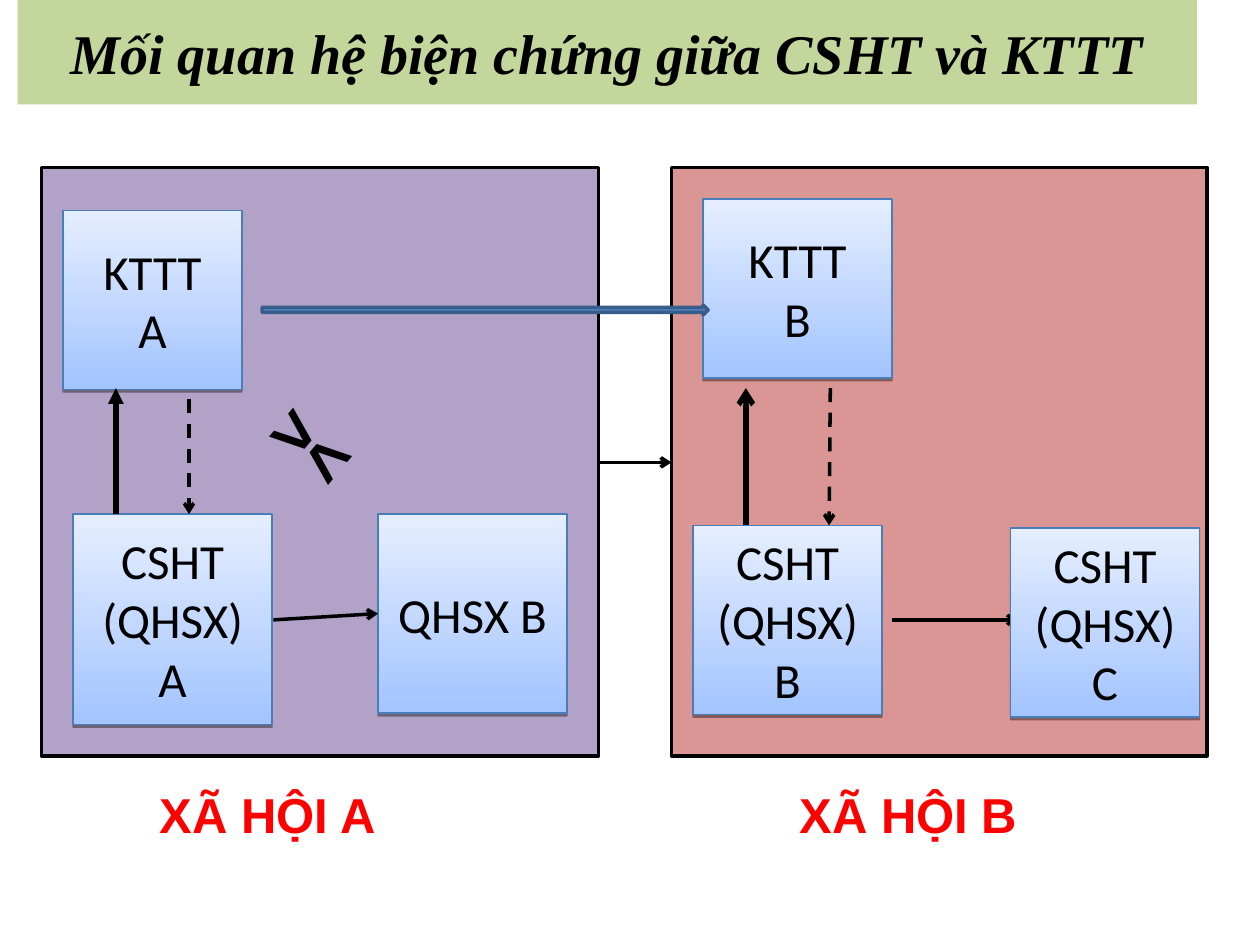
from lxml import etree
from pptx import Presentation
from pptx.dml.color import RGBColor
from pptx.enum import dml, shapes, text
from pptx.oxml.ns import qn
from pptx.util import Inches, Pt

COLORS = {
    "black": "000000", "red": "FF0000", "title": "C3D69B",
    "society_a": "B3A2C7", "society_b": "D99694",
    "box_bottom": "A3C4FF", "box_top": "E5EEFF", "box_line": "4A7EBB",
    "arrow": "4F81BD", "arrow_line": "385D8A",
}
TITLE = "Mối quan hệ biện chứng giữa CSHT và KTTT"

# Positions are left, top, width, height in inches
PANELS = [
    ((0.33, 1.33, 4.42, 4.67), "society_a"),
    ((5.33, 1.33, 4.25, 4.67), "society_b"),
]
BOXES = [
    ("KTTT\nA", (0.5, 1.67, 1.42, 1.42)),
    ("QHSX B", (3, 4.08, 1.5, 1.58)),
    ("CSHT\n(QHSX)\nA", (0.58, 4.08, 1.58, 1.67)),
    ("CSHT\n(QHSX)\nB", (5.5, 4.17, 1.5, 1.5)),
    ("KTTT\nB", (5.58, 1.58, 1.5, 1.42)),
]
NEXT_BASE_BOX = ("CSHT\n(QHSX)\nC", (8.02, 4.19, 1.5, 1.5))
# Start, end, width in points, arrowhead, dashed
LINKS = [
    ((4.75, 3.67), (5.33, 3.67), 2, "arrow", False),
    ((2.17, 4.92), (3, 4.87), 2, "arrow", False),
    ((1.5, 3.17), (1.5, 4.08), 2, "arrow", True),
    ((0.92, 4.08), (0.92, 3.08), 3, "triangle", False),
    ((5.92, 4.17), (5.92, 3.08), 3, "arrow", False),
    ((6.59, 3.08), (6.58, 4.17), 2, "arrow", True),
    ((7.08, 4.92), (8.08, 4.92), 2, "arrow", False),
]
# Text, position, size, colour, rotation
LABELS = [
    ("XÃ HỘI A", (1.17, 6.18, 2.58, 0.57), 28, "red", 0),
    ("XÃ HỘI B", (6.25, 6.18, 2.58, 0.57), 28, "red", 0),
    ("><", (2.05, 3.18, 1, 0.77), 40, "black", 39.8),
]


def color(name):
    return RGBColor.from_string(COLORS[name])


def inches(values):
    return [Inches(value) for value in values]


def write(shape, content, font_name, size, ink="black", bold=None, italic=None,
          align=text.PP_ALIGN.CENTER):
    frame = shape.text_frame
    frame.word_wrap = True
    frame.text = content
    for paragraph in frame.paragraphs:
        paragraph.alignment = align
        for run in paragraph.runs:
            font = run.font
            font.name, font.size = font_name, Pt(size)
            font.bold, font.italic = bold, italic
            font.color.rgb = color(ink)
    return frame


def add_block(slide, place, fill=None, line=None, width=2,
              kind=shapes.MSO_SHAPE.RECTANGLE):
    shape = slide.shapes.add_shape(kind, *inches(place))
    shape.shadow.inherit = False
    if fill:
        shape.fill.solid()
        shape.fill.fore_color.rgb = color(fill)
    if line:
        shape.line.color.rgb = color(line)
        shape.line.width = Pt(width)
    else:
        shape.line.fill.background()
    return shape


def add_box(slide, content, place):
    shape = add_block(slide, place, line="box_line", width=0.75)
    shape.fill.gradient()
    shape.fill.gradient_angle = 90
    for stop, name, position in zip(shape.fill.gradient_stops,
                                    ("box_bottom", "box_top"), (0, 1)):
        stop.color.rgb = color(name)
        stop.position = position
    effects = shape.element.spPr.find(qn("a:effectLst"))
    shadow = etree.SubElement(effects, qn("a:outerShdw"), blurRad="0",
                              dist=str(Pt(1.6)), dir="5400000", rotWithShape="0")
    ink = etree.SubElement(shadow, qn("a:srgbClr"), val=COLORS["black"])
    etree.SubElement(ink, qn("a:alpha"), val="38000")
    frame = write(shape, content, "Calibri", 28)
    frame.vertical_anchor = text.MSO_ANCHOR.MIDDLE


def add_link(slide, start, end, width, head, dashed):
    link = slide.shapes.add_connector(shapes.MSO_CONNECTOR.STRAIGHT,
                                      *inches(start + end))
    link.line.color.rgb = color("black")
    link.line.width = Pt(width)
    if dashed:
        link.line.dash_style = dml.MSO_LINE.DASH
    properties = link.element.spPr
    etree.SubElement(properties.find(qn("a:ln")), qn("a:tailEnd"), type=head)
    etree.SubElement(properties, qn("a:effectLst"))


def main():
    presentation = Presentation()
    presentation.slide_width, presentation.slide_height = Inches(10), Inches(7.5)
    slide = presentation.slides.add_slide(presentation.slide_layouts[6])

    # Two societies with their boxes and links
    for place, fill in PANELS:
        add_block(slide, place, fill, "black")
    for content, place in BOXES:
        add_box(slide, content, place)
    for link in LINKS:
        add_link(slide, *link)

    # Society names and the conflict mark
    for content, place, size, ink, rotation in LABELS:
        label = slide.shapes.add_textbox(*inches(place))
        label.rotation = rotation
        write(label, content, "Arial", size, ink, bold=True,
              align=text.PP_ALIGN.LEFT)

    # Long arrow between the two superstructures
    add_block(slide, (2.08, 2.42, 3.54, 0.08), "arrow", "arrow_line",
              kind=shapes.MSO_SHAPE.RIGHT_ARROW)

    # Title band
    band = add_block(slide, (0.14, 0, 9.36, 0.83), "title")
    frame = write(band, TITLE, "Times New Roman", 32, bold=True, italic=True)
    frame.vertical_anchor = text.MSO_ANCHOR.MIDDLE
    frame.margin_left = frame.margin_right = Inches(0.24)
    frame.margin_top = frame.margin_bottom = 0

    # The last box covers the tip of its link
    add_box(slide, *NEXT_BASE_BOX)

    presentation.save("out.pptx")


if __name__ == "__main__":
    main()
